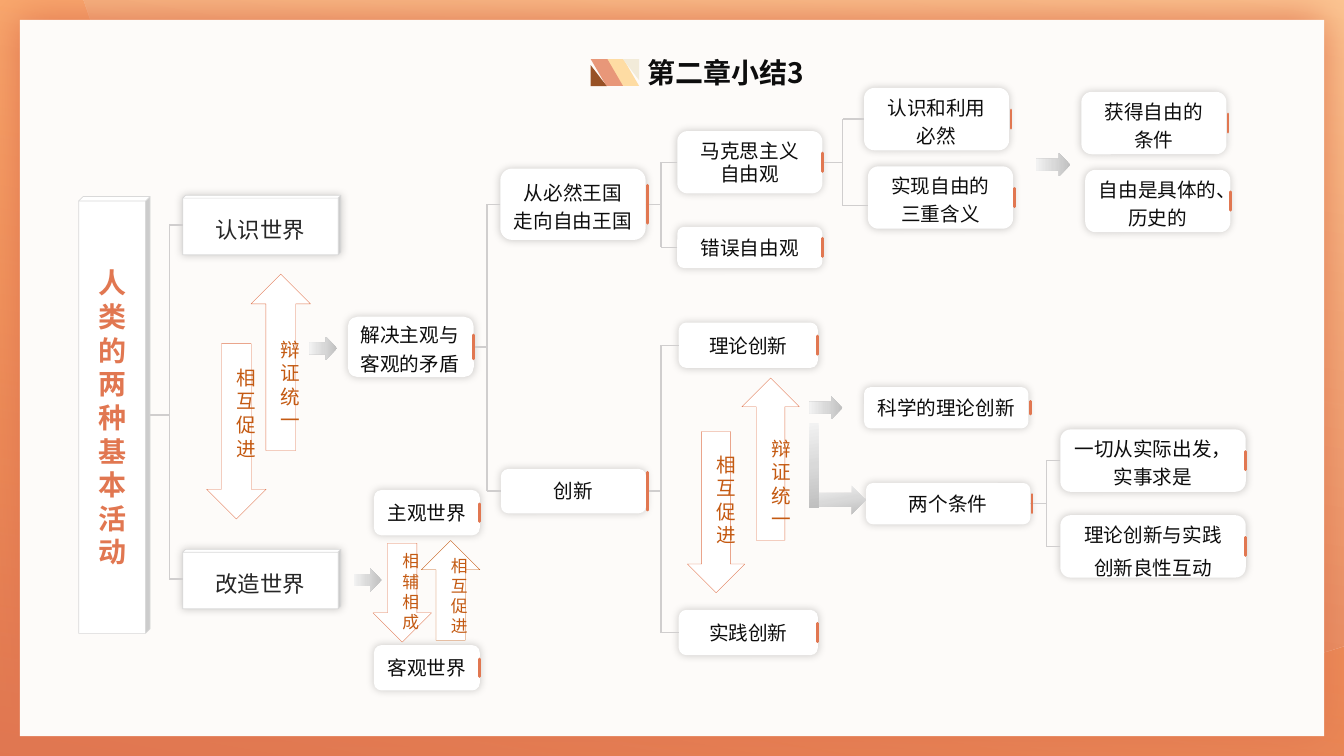
from lxml import etree
from pptx import Presentation
from pptx.dml.color import RGBColor
from pptx.enum.shapes import MSO_CONNECTOR, MSO_SHAPE
from pptx.enum.text import MSO_ANCHOR, MSO_AUTO_SIZE, PP_ALIGN
from pptx.oxml.ns import qn
from pptx.util import Pt

STRAIGHT = MSO_CONNECTOR.STRAIGHT
RECT, ROUNDED, CUBE = MSO_SHAPE.RECTANGLE, MSO_SHAPE.ROUNDED_RECTANGLE, MSO_SHAPE.CUBE
DOWN, RIGHT = MSO_SHAPE.DOWN_ARROW, MSO_SHAPE.RIGHT_ARROW
SLANT, CORNER = MSO_SHAPE.PARALLELOGRAM, MSO_SHAPE.RIGHT_TRIANGLE
MIDDLE, TOP = MSO_ANCHOR.MIDDLE, MSO_ANCHOR.TOP
LEFT, CENTER = PP_ALIGN.LEFT, PP_ALIGN.CENTER
NO_FIT, GROW = MSO_AUTO_SIZE.NONE, MSO_AUTO_SIZE.SHAPE_TO_FIT_TEXT

FONT = "Noto Sans CJK SC"
COLORS = {
    "white": "FFFFFF", "paper": "FDFBF9", "ink": "0D0D0D", "soft_ink": "262626", "black": "000000",
    "orange": "E17751", "vivid": "FD7201", "peach": "FDD5A6", "rust": "C45A12",
    "rule": "D0CECE", "edge": "D9D9D9", "dark_grey": "BFBFBF", "light_grey": "F2F2F2",
    "sand": "FEDCA3", "cream": "F2EBD9", "salmon": "E89779", "brown": "985125",
}
FADE_LEFT = [(0, "dark_grey", 100), (50, "edge", 100), (100, "light_grey", 100)]
FADE_DOWN = [(0, "light_grey", 100), (50, "edge", 100), (100, "dark_grey", 100)]


class MindMap:
    """Draws the parts of a mind map on one slide in a shared style."""

    def __init__(self, slide):
        self.slide = slide
        self.shapes = slide.shapes

    def color(self, parent, name, alpha=100):
        tint = etree.SubElement(parent, qn("a:srgbClr"), val=COLORS[name])
        if alpha < 100:
            etree.SubElement(tint, qn("a:alpha"), val=str(alpha * 1000))

    def gradient(self, shape, stops, angle):
        shape.fill.gradient()
        grad = shape._element.spPr.find(qn("a:gradFill"))
        for child in list(grad):
            grad.remove(child)
        stop_list = etree.SubElement(grad, qn("a:gsLst"))
        for position, name, alpha in stops:
            self.color(etree.SubElement(stop_list, qn("a:gs"), pos=str(position * 1000)), name, alpha)
        etree.SubElement(grad, qn("a:lin"), ang=str(angle * 60000), scaled="0")

    def finish(self, shape, fill=None, edge=None, weight=0.5):
        shape.shadow.inherit = False
        if fill:
            shape.fill.solid()
            shape.fill.fore_color.rgb = RGBColor.from_string(COLORS[fill])
        if edge:
            shape.line.color.rgb = RGBColor.from_string(COLORS[edge])
            shape.line.width = Pt(weight)
        else:
            shape.line.fill.background()
        return shape

    def block(self, kind, box, fill=None, edge=None, weight=0.5, adjust=None):
        shape = self.shapes.add_shape(kind, *map(Pt, box))
        if adjust is not None:
            shape.adjustments[0] = adjust
        return self.finish(shape, fill, edge, weight)

    def glow(self, shape, name="black", alpha=20, blur=6):
        effects = shape._element.spPr.find(qn("a:effectLst"))
        shadow = etree.SubElement(effects, qn("a:outerShdw"), blurRad=str(Pt(blur)), dist="0",
                                  algn="ctr", rotWithShape="0")
        self.color(shadow, name, alpha)

    def set_text(self, shape, text, size=14, color="ink", bold=False, align=CENTER, spacing=None,
                 anchor=MIDDLE, fit=NO_FIT):
        frame = shape.text_frame
        frame.text = text
        frame.word_wrap = True
        frame.auto_size = fit
        frame.vertical_anchor = anchor
        for paragraph in frame.paragraphs:
            paragraph.alignment = align
            if spacing:
                paragraph.line_spacing = spacing
            font = paragraph.font
            font.size, font.bold, font.name = Pt(size), bold, FONT
            font.color.rgb = RGBColor.from_string(COLORS[color])
            defaults = paragraph._p.pPr.find(qn("a:defRPr"))
            etree.SubElement(defaults, qn("a:ea"), typeface=FONT)

    def title(self, text, box):
        title = self.shapes.title
        title.left, title.top, title.width, title.height = map(Pt, box)
        self.set_text(title, text, 20, bold=True, align=LEFT)
        self.shapes._spTree.append(title._element)

    def ornament(self, kind, box, fill, flips=(), adjust=None):
        piece = self.block(kind, box, fill, adjust=adjust)
        for flip in flips:
            piece._element.spPr.xfrm.set(flip, "1")

    def cube(self, text, box, depth, size, color, bold=False, spacing=None, glow=True):
        cube = self.block(CUBE, box, "white", "edge", adjust=depth)
        if glow:
            self.glow(cube)
        self.set_text(cube, text, size, color, bold, spacing=spacing)
        return cube

    def node(self, text, box, spacing, align=CENTER):
        node = self.block(ROUNDED, box, "white")
        self.glow(node)
        self.set_text(node, text, align=align, spacing=spacing)
        return node

    def line(self, x1, y1, x2, y2, color="rule", weight=1):
        line = self.shapes.add_connector(STRAIGHT, x1, y1, x2, y2)
        line.line.color.rgb = RGBColor.from_string(COLORS[color])
        line.line.width = Pt(weight)
        etree.SubElement(line._element.spPr, qn("a:effectLst"))
        return line

    def middle(self, shape):
        return shape.top + shape.height // 2

    def accent(self, node, gap, length):
        x, y, half = node.left + node.width + Pt(gap), self.middle(node), Pt(length / 2)
        bar = self.line(x, y - half, x, y + half, "orange", 2)
        bar._element.spPr.find(qn("a:ln")).set("cap", "rnd")

    def bracket(self, trunk, parent, upper, lower, drop=0):
        x = Pt(trunk)
        top, bottom = self.middle(upper), self.middle(lower) + Pt(drop)
        self.line(x, top, x, bottom)
        y = self.middle(parent)
        ends = [(parent, parent.left + parent.width, y, 3),
                (upper, upper.left, top, 1), (lower, lower.left, bottom, 1)]
        for shape, edge, level, side in ends:
            stub = self.line(edge, level, x, level)
            if shape.auto_shape_type == ROUNDED and level == self.middle(shape):
                stub.begin_connect(shape, side)

    def big_arrow(self, text, box, label_top, label_height, size=14, turn=0, edge="orange"):
        arrow = self.block(DOWN, box, "white", edge, 0.25)
        arrow.rotation = turn
        label = self.shapes.add_textbox(*map(Pt, (box[0] + 14, label_top, 14.8, label_height)))
        self.set_text(label, text, size, "rust", anchor=TOP, fit=GROW)

    def grey(self, kind, box, stops=FADE_LEFT, angle=180):
        self.gradient(self.block(kind, box), stops, angle)


def main():
    deck = Presentation()
    deck.slide_width, deck.slide_height = Pt(960), Pt(540)
    chart = MindMap(deck.slides.add_slide(deck.slide_layouts[5]))

    backdrop = chart.block(RECT, (0, 0, 960, 540))
    chart.gradient(backdrop, [(0, "orange", 100), (100, "vivid", 50)], 280)
    sweep = chart.shapes.build_freeform(Pt(59.8), 0)
    outline = [(960, 0), (960, 461), (947, 465), (844, 489), (736, 497), (517, 462),
               (325, 366), (174, 219), (70.6, 31.7)]
    sweep.add_line_segments([(Pt(x), Pt(y)) for x, y in outline], close=True)
    glaze = chart.finish(sweep.convert_to_shape())
    chart.gradient(glaze, [(0, "orange", 100), (100, "peach", 50)], 280)
    paper = chart.block(RECT, (14.2, 14.2, 931.6, 511.6), "paper")
    chart.glow(paper, "orange", 100, 30)

    chart.title("第二章小结3", (455, 36, 160.5, 31.5))
    chart.ornament(SLANT, (433.5, 42.3, 23, 19), "sand", ["flipH"], 0.585)
    chart.ornament(CORNER, (445, 42.3, 11.5, 15), "cream", ["flipH", "flipV"])
    chart.ornament(SLANT, (422, 42.3, 23, 19), "salmon", ["flipH"], 0.585)
    chart.ornament(CORNER, (422, 46.6, 11.5, 15), "brown")

    root = chart.cube("人\n类\n的\n两\n种\n基本活动", (56.2, 140.4, 51, 312), 0.063, 20, "orange",
                      bold=True, glow=False)
    know, change = [
        chart.cube(text, (130.5, top, 113, 42.5), 0.048, 16, "soft_ink", spacing=1.2)
        for text, top in (("认识世界", 139.5), ("改造世界", 392.4))]

    branches = {
        "contradiction": ("解决主观与\n客观的矛盾", (248.4, 226.2, 90, 43.2), 1.2, 0, 17),
        "subjective": ("主观世界", (267.1, 350, 75.6, 32.4), None, 0, 12.5),
        "objective": ("客观世界", (267.1, 460.8, 75.6, 32.4), None, 0, 12.5),
        "kingdom": ("从必然王国\n走向自由王国", (357.4, 120.4, 103.8, 51), 1.2, 1.2, 27),
        "innovation": ("创新", (357.8, 335, 103.8, 31.7), None, 1, 27),
        "marxist": ("马克思主义\n自由观", (483.8, 93.6, 103.7, 44.6), None, 0, 13),
        "wrong": ("错误自由观", (483.8, 162, 103.7, 29.5), None, 0, 13),
        "theory": ("理论创新", (484.8, 230.4, 99.4, 32.4), None, 0, 13),
        "practice": ("实践创新", (484.8, 435.6, 99.4, 32.4), None, 0, 13),
        "necessity": ("认识和利用\n必然", (617.2, 62.8, 103.7, 44.6), 1.2, 1.2, 13),
        "meanings": ("实现自由的\n三重含义", (620, 118.8, 103.7, 44.6), 1.2, 1.2, 13),
        "conditions": ("获得自由的\n条件", (772.4, 65.6, 103.7, 44.6), 1.2, 1, 13),
        "concrete": ("自由是具体的、历史的", (775.2, 121.3, 103.7, 44.6), 1.2, 0, 13),
        "scientific": ("科学的理论创新", (617.2, 276.5, 117.4, 29.5), None, 1.2, 9),
        "requirements": ("两个条件", (618.6, 345, 117.4, 29.5), None, 1.2, 13),
        "reality": ("一切从实际出发，实事求是", (757.4, 306.7, 132.5, 44.6), 1.2, 0, 13),
        "interaction": ("理论创新与实践\n创新良性互动", (757.4, 368, 132.5, 44.6), 1.4, 0, 13),
    }
    nodes = {name: chart.node(text, box, spacing, LEFT if name == "contradiction" else CENTER)
             for name, (text, box, spacing, _, _) in branches.items()}

    chart.bracket(121, root, know, change)
    for trunk, parent, upper, lower, drop in (
            (347.8, "contradiction", "kingdom", "innovation", 0),
            (472.3, "kingdom", "marxist", "wrong", 0),
            (472.3, "innovation", "theory", "practice", 0),
            (602, "marxist", "necessity", "meanings", 5.8),
            (747.4, "requirements", "reality", "interaction", 0)):
        chart.bracket(trunk, nodes[parent], nodes[upper], nodes[lower], drop)
    for name, (_, _, _, gap, length) in branches.items():
        chart.accent(nodes[name], gap, length)

    chart.big_arrow("相互促进", (147.6, 245.5, 42.5, 125.3), 257.8, 75)
    chart.big_arrow("辩证统一", (179.3, 195.8, 42.5, 126), 237.6, 75, turn=180)
    chart.big_arrow("相互促进", (491, 308.2, 41, 115.2), 319.7, 75)
    chart.big_arrow("辩证统一", (529.9, 270, 41, 115.9), 308.2, 75, turn=180)
    chart.big_arrow("相辅相成", (266.4, 388, 41.8, 70.6), 390.2, 64, 12)
    chart.big_arrow("相互促进", (301, 386, 41.8, 71.3), 393.1, 64, 12, 180, "rust")

    for left, top, width in ((221, 240.5, 20), (252.7, 406, 20), (578.2, 283, 23.8), (740.2, 109.4, 24.5)):
        chart.grey(RIGHT, (left, top, width, 16.6))
    chart.grey(RIGHT, (581.8, 347, 36.7, 20.2), FADE_DOWN, 80)
    chart.grey(RECT, (578.2, 302.4, 6.5, 60.5), FADE_DOWN, 80)
    deck.save("out.pptx")


if __name__ == "__main__":
    main()
